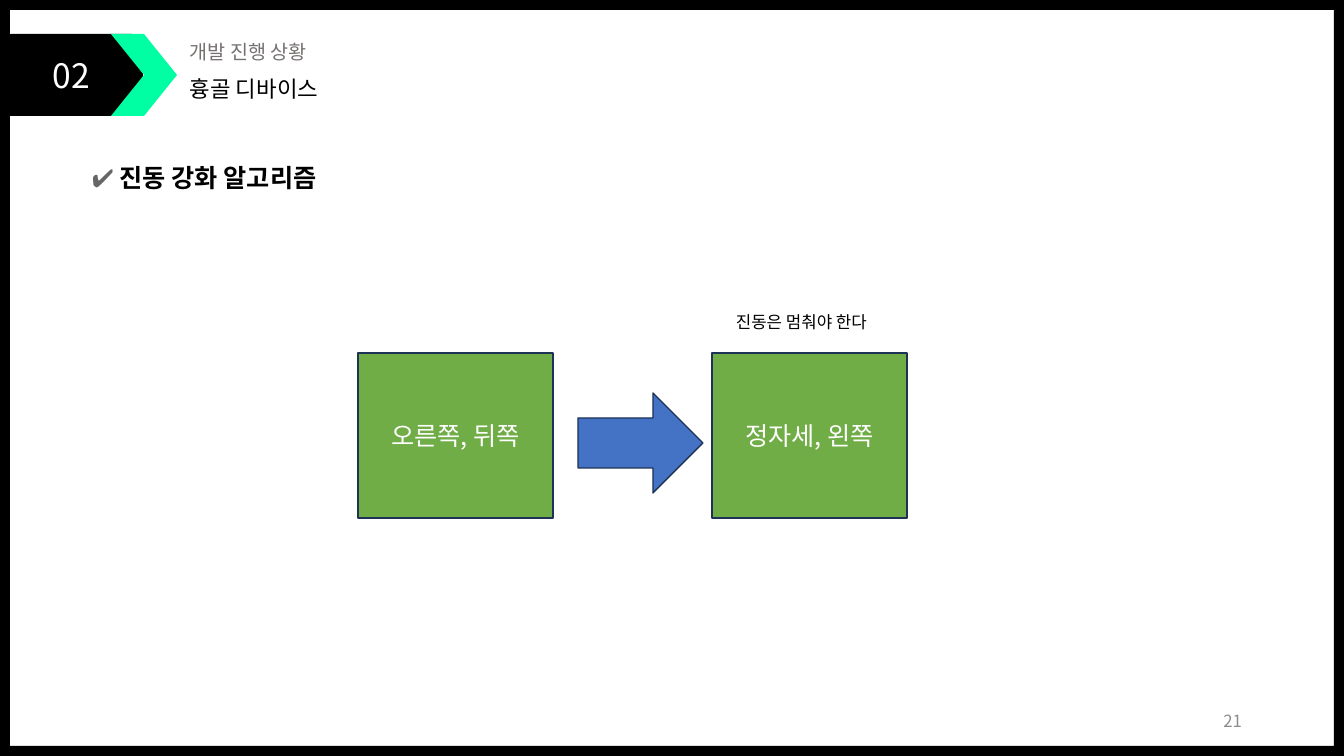
from dataclasses import dataclass

from lxml import etree
from pptx import Presentation
from pptx import util as u
from pptx.dml.color import RGBColor
from pptx.enum import shapes, text
from pptx.oxml.ns import qn

PX = 12192000 / 1344
SHAPE = shapes.MSO_SHAPE
ALIGN = text.PP_ALIGN
ANCHOR = text.MSO_ANCHOR


@dataclass(frozen=True)
class Theme:
    font: str = "Noto Sans CJK KR"
    symbol_font: str = "Calibri"
    black: str = "000000"
    white: str = "FFFFFF"
    section: str = "767171"
    page: str = "8C8C8C"
    check: str = "666666"
    mint: str = "00FFA3"
    green: str = "70AD47"
    blue: str = "4472C4"
    outline: str = "1E3256"
    small: int = 12
    label: int = 14
    title: int = 16
    body: int = 18
    badge: int = 24


def px(*lengths):
    return [u.Emu(round(length * PX)) for length in lengths]


def add_run(paragraph, words, size, color, font, bold=False):
    run = paragraph.add_run()
    run.text = words
    run.font.size = u.Pt(size)
    run.font.bold = bold
    run.font.name = font
    run.font.color.rgb = RGBColor.from_string(color)
    east_asian = etree.SubElement(run.font._element, qn("a:ea"))
    east_asian.set("typeface", font)


class SlideBuilder:
    def __init__(self, presentation, theme):
        self.theme = theme
        self.slide = presentation.slides.add_slide(presentation.slide_layouts[6])

    def fill_text(self, frame, words, size, color, align=ALIGN.LEFT, anchor=ANCHOR.TOP):
        frame.word_wrap = True
        frame.vertical_anchor = anchor
        paragraph = frame.paragraphs[0]
        paragraph.alignment = align
        add_run(paragraph, words, size, color, self.theme.font)

    def label(self, box, words, **style):
        frame = self.slide.shapes.add_textbox(*px(*box)).text_frame
        self.fill_text(frame, words, **style)

    def heading(self, box, words):
        theme = self.theme
        frame = self.slide.shapes.add_textbox(*px(*box)).text_frame
        frame.word_wrap = False
        paragraph = frame.paragraphs[0]
        add_run(paragraph, "✔ ", theme.body, theme.check, theme.symbol_font)
        add_run(paragraph, words, theme.body, theme.black, theme.font, bold=True)

    def block(self, kind, box, fill, outlined=False, adjust=None, words=None, size=None):
        shape = self.slide.shapes.add_shape(kind, *px(*box))
        shape.shadow.inherit = False
        shape.fill.solid()
        shape.fill.fore_color.rgb = RGBColor.from_string(fill)
        if outlined:
            shape.line.color.rgb = RGBColor.from_string(self.theme.outline)
            shape.line.width = u.Pt(1)
        else:
            shape.line.fill.background()
        if adjust is not None:
            shape.adjustments[0] = adjust
        if words:
            self.fill_text(shape.text_frame, words, size, self.theme.white,
                           align=ALIGN.CENTER, anchor=ANCHOR.MIDDLE)


def main():
    theme = Theme()
    presentation = Presentation()
    presentation.slide_width, presentation.slide_height = px(1344, 756)
    builder = SlideBuilder(presentation, theme)

    builder.block(SHAPE.FRAME, (0, 0, 1344, 756), theme.black, adjust=10 / 756)
    builder.label((180, 35, 157, 34), "개발 진행 상황", size=theme.label, color=theme.section)
    builder.label((180, 70, 343, 37), "흉골 디바이스", size=theme.title, color=theme.black)
    builder.label((950, 701, 302, 40), "21", size=theme.small, color=theme.page,
                  align=ALIGN.RIGHT, anchor=ANCHOR.MIDDLE)
    builder.heading((82, 157, 268, 40), "진동 강화 알고리즘")

    builder.block(SHAPE.ROUNDED_RECTANGLE, (0, 34, 143, 82), theme.black,
                  adjust=0.14, words="02", size=theme.badge)
    builder.block(SHAPE.CHEVRON, (111, 34, 66, 82), theme.mint)

    builder.label((726, 307, 337, 30), "진동은 멈춰야 한다", size=theme.small, color=theme.black)
    for left, posture in ((358, "오른쪽, 뒤쪽"), (712, "정자세, 왼쪽")):
        builder.block(SHAPE.RECTANGLE, (left, 353, 195, 165), theme.green,
                      outlined=True, words=posture, size=theme.body)
    builder.block(SHAPE.RIGHT_ARROW, (578, 393, 125, 100), theme.blue, outlined=True)

    presentation.save("out.pptx")


if __name__ == "__main__":
    main()
